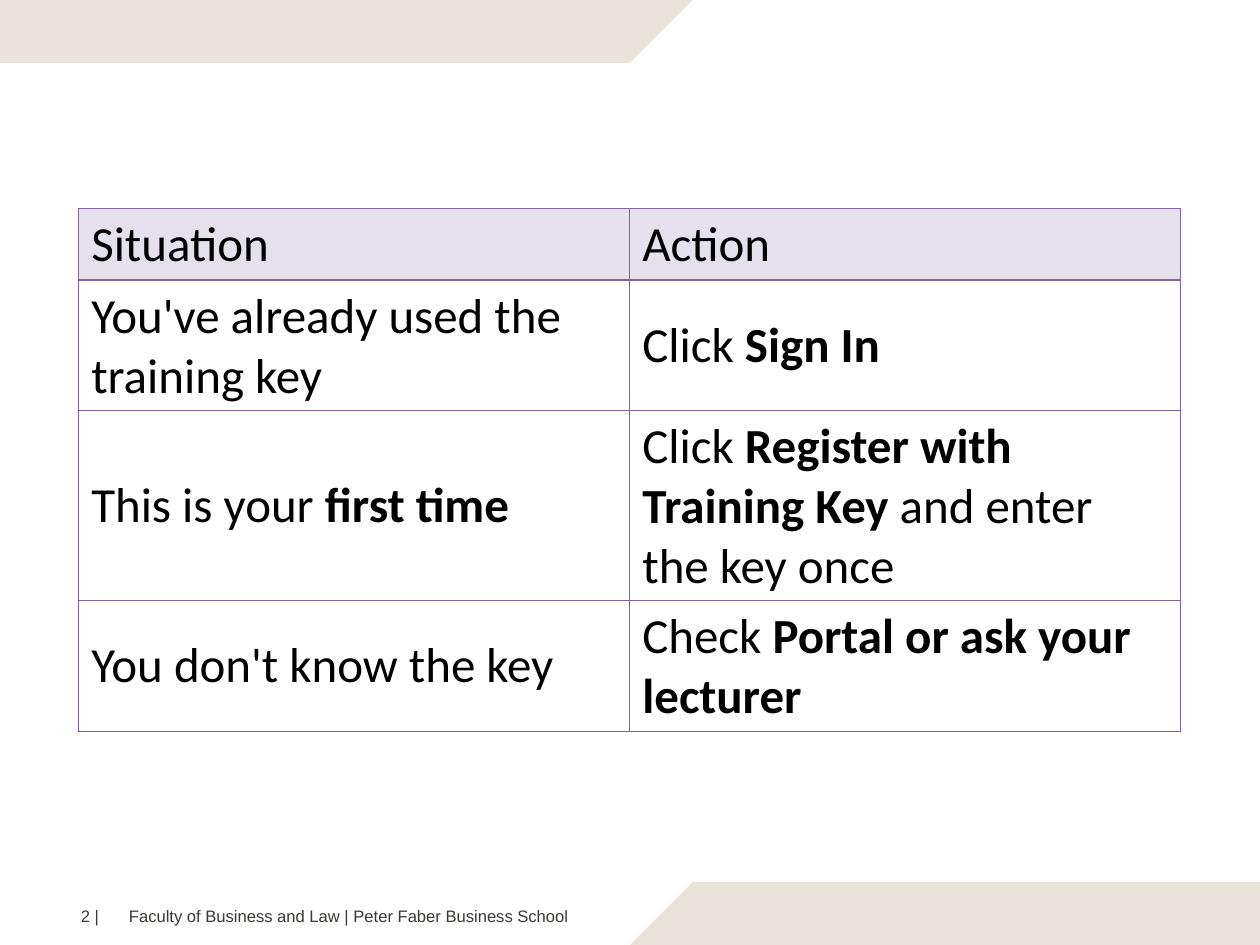
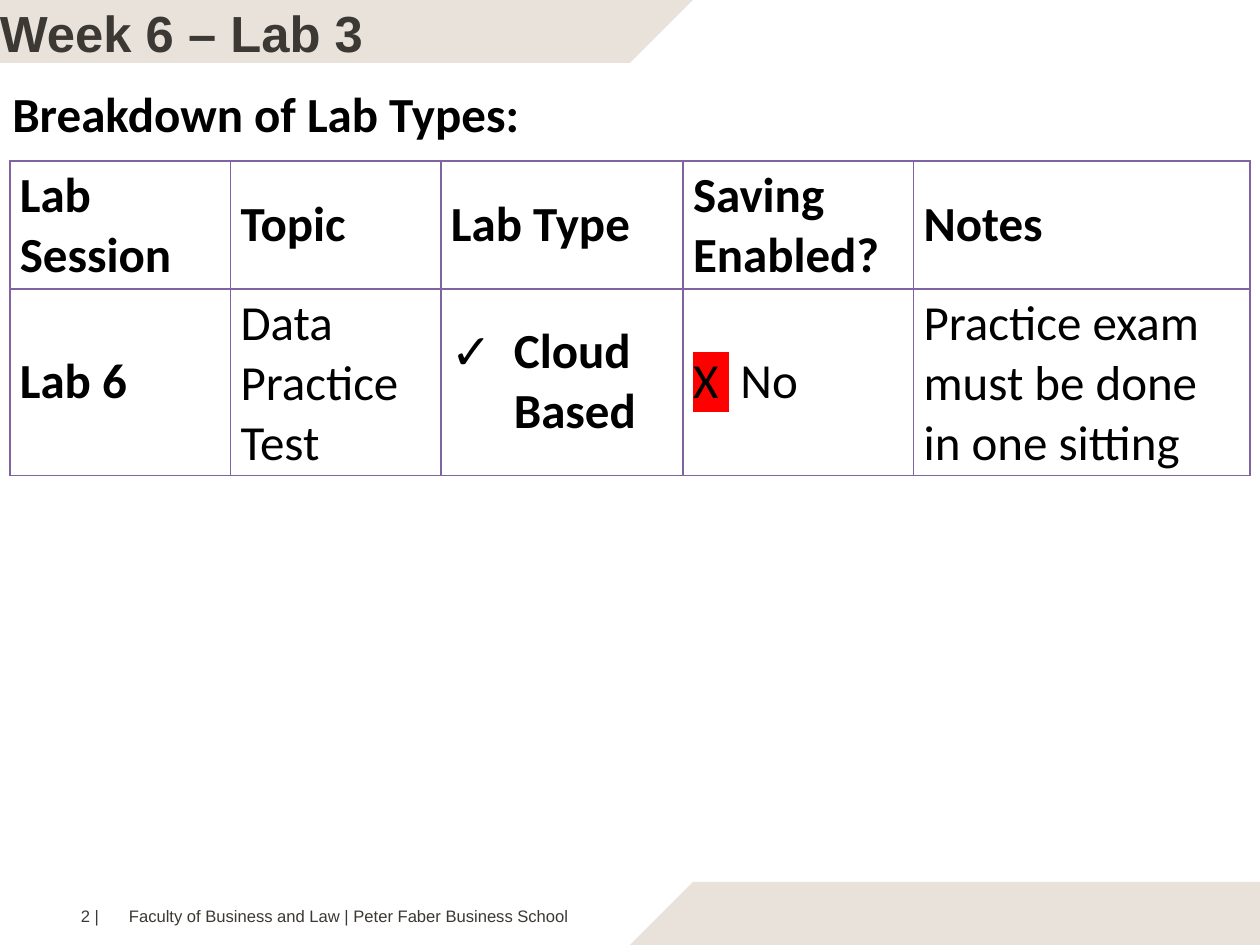
from dataclasses import dataclass

from lxml.etree import SubElement
from pptx import Presentation
from pptx.dml.color import RGBColor
from pptx.enum.text import MSO_ANCHOR
from pptx.oxml import parse_xml
from pptx.oxml.ns import nsdecls, qn
from pptx.util import Cm, Pt


@dataclass(frozen=True)
class Theme:
    band: RGBColor = RGBColor.from_string("E8E2DB")
    heading: RGBColor = RGBColor.from_string("3C3935")
    body: RGBColor = RGBColor.from_string("000000")
    header_fill: RGBColor = RGBColor.from_string("E6E0EC")
    border: str = "8064A2"
    highlight: str = "FF0000"
    heading_font: str = "Arial"
    body_font: str = "Calibri"
    footer_size: Pt = Pt(9.5)
    title_size: Pt = Pt(29)
    body_size: Pt = Pt(28)


THEME = Theme()
PLAIN, BOLD, HIGHLIGHT = "plain", "bold", "highlight"


def write_runs(paragraph, runs, font=THEME.body_font, size=THEME.body_size, color=THEME.body):
    """Append (text, style) pairs to the paragraph."""
    for text, style in runs:
        run = paragraph.add_run()
        run.text = text
        run.font.name = font
        run.font.size = size
        run.font.bold = style == BOLD
        run.font.color.rgb = color
        if style == HIGHLIGHT:
            mark = parse_xml(
                f'<a:highlight {nsdecls("a")}><a:srgbClr val="{THEME.highlight}"/></a:highlight>')
            run._r.get_or_add_rPr().find(qn("a:latin")).addprevious(mark)


def add_grid(slide, left, top, widths, heights, rows, inset):
    """Add a bordered table; lengths are in cm and side insets are twice the inset."""
    frame = slide.shapes.add_table(len(heights), len(widths), Cm(left), Cm(top),
                                   Cm(sum(widths)), Cm(sum(heights)))
    table = frame.table
    table.first_row = False
    table.horz_banding = False
    for column, width in zip(table.columns, widths):
        column.width = Cm(width)
    for row, height, contents in zip(table.rows, heights, rows):
        row.height = Cm(height)
        for cell, runs in zip(row.cells, contents):
            cell.vertical_anchor = MSO_ANCHOR.MIDDLE
            cell.margin_left = cell.margin_right = Cm(2 * inset)
            cell.margin_top = cell.margin_bottom = Cm(inset)
            cell.fill.background()
            properties = cell._tc.get_or_add_tcPr()
            for position, side in enumerate(("lnL", "lnR", "lnT", "lnB")):
                properties.insert(position, parse_xml(
                    f'<a:{side} {nsdecls("a")} w="12700"><a:solidFill>'
                    f'<a:srgbClr val="{THEME.border}"/></a:solidFill></a:{side}>'))
            write_runs(cell.text_frame.paragraphs[0], runs)
    return table


presentation = Presentation()
presentation.slide_width = Cm(25.4)
presentation.slide_height = Cm(19.05)
blank_layout = presentation.slide_layouts[6]

# Shared bands and footer
BANDS = (
    ((13.97, 0), (0, 0), (0, 1.27), (12.7, 1.27)),
    ((25.4, 17.78), (13.97, 17.78), (12.7, 19.05), (25.4, 19.05)),
)
for _ in range(2):
    slide = presentation.slides.add_slide(blank_layout)
    for corners in BANDS:
        start, *others = [(Cm(x), Cm(y)) for x, y in corners]
        builder = slide.shapes.build_freeform(*start)
        builder.add_line_segments(others, close=True)
        band = builder.convert_to_shape()
        band.shadow.inherit = False
        band.fill.solid()
        band.fill.fore_color.rgb = THEME.band
        band.line.fill.background()

    footer = slide.shapes.add_textbox(Cm(1.63), Cm(18.21), Cm(10.26), Cm(0.48))
    frame = footer.text_frame
    frame.word_wrap = True
    frame.margin_left = frame.margin_right = frame.margin_bottom = 0
    frame.margin_top = Cm(0.05)
    paragraph = frame.paragraphs[0]
    tabs = SubElement(paragraph._p.get_or_add_pPr(), qn("a:tabLst"))
    SubElement(tabs, qn("a:tab"), pos=str(Cm(0.97)), algn="l")
    write_runs(paragraph,
               [("2 |\tFaculty of Business and Law | Peter Faber Business School", PLAIN)],
               THEME.heading_font, THEME.footer_size, THEME.heading)

key_slide, lab_slide = presentation.slides

# Slide 1: what to do with the training key
key_rows = [
    [[("Situation", PLAIN)], [("Action", PLAIN)]],
    [[("You've already used the training key", PLAIN)],
     [("Click ", PLAIN), ("Sign In", BOLD)]],
    [[("This is your ", PLAIN), ("first time", BOLD)],
     [("Click ", PLAIN), ("Register with Training Key", BOLD),
      (" and enter the key once", PLAIN)]],
    [[("You don't know the key", PLAIN)],
     [("Check ", PLAIN), ("Portal or ask your lecturer", BOLD)]],
]
key_table = add_grid(key_slide, 1.58, 4.2, [11.11] * 2, [1.43, 2.62, 3.83, 2.62],
                     key_rows, inset=0.13)
for cell in key_table.rows[0].cells:
    cell.fill.solid()
    cell.fill.fore_color.rgb = THEME.header_fill

# Slide 2: lab types
title = lab_slide.shapes.add_textbox(0, 0, Cm(14.6), Cm(1.32))
frame = title.text_frame
frame.word_wrap = True
frame.margin_left = frame.margin_right = frame.margin_bottom = 0
frame.margin_top = Cm(0.03)
write_runs(frame.paragraphs[0], [("Week 6 – Lab 3", BOLD)],
           THEME.heading_font, THEME.title_size, THEME.heading)

lab_headings = ("Lab Session", "Topic", "Lab Type", "Saving Enabled?", "Notes")
lab_rows = [
    [[(heading, BOLD)] for heading in lab_headings],
    [[("Lab 6", BOLD)],
     [("Data Practice Test", PLAIN)],
     [("Cloud Based", BOLD)],
     [("X ", HIGHLIGHT), (" No", PLAIN)],
     [("Practice exam must be done in one sitting", PLAIN)]],
]
lab_table = add_grid(lab_slide, 0.2, 3.25, [4.45, 4.24, 4.88, 4.65, 6.78], [2.57, 3.75],
                     lab_rows, inset=0.1)
check_properties = lab_table.cell(1, 2).text_frame.paragraphs[0]._p.get_or_add_pPr()
check_properties.set("marL", str(Cm(1.27)))
check_properties.set("indent", str(-Cm(1.27)))
SubElement(check_properties, qn("a:buFont"), typeface=THEME.heading_font)
SubElement(check_properties, qn("a:buChar"), char="✓")

subtitle = lab_slide.shapes.add_textbox(0, Cm(1.55), Cm(10.9), Cm(1.45))
subtitle.text_frame.word_wrap = False
subtitle.text_frame.vertical_anchor = MSO_ANCHOR.MIDDLE
write_runs(subtitle.text_frame.paragraphs[0], [("Breakdown of Lab Types:", BOLD)])

presentation.save("out.pptx")
